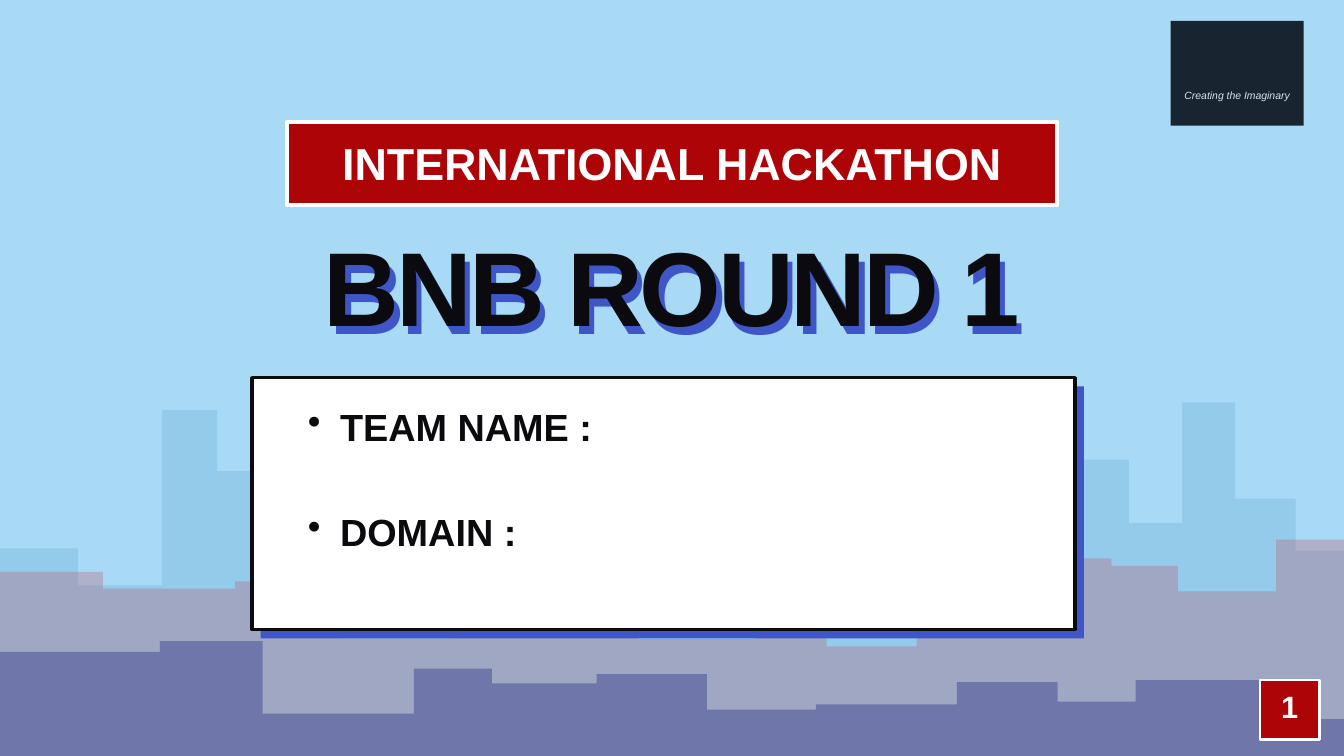
import pptx
import pptx.dml.color
import pptx.enum.shapes
import pptx.enum.text
import pptx.oxml.ns
import pptx.util
from lxml import etree
from pptx.util import Inches

INK, WHITE, RED, BLUE = "0B0B0F", "FFFFFF", "AD0407", "3F56C8"
WIDTH, HEIGHT = 20, 11.25


def paint(fill, color):
    fill.solid()
    fill.fore_color.rgb = pptx.dml.color.RGBColor.from_string(color)


def add_text(s, lines, x, y, w, h, size, color, leading, bold=True,
             italic=False, tracking=0, bullet=False, gap=0):
    tf = s.shapes.add_textbox(Inches(x), Inches(y), Inches(w), Inches(h)).text_frame
    tf.word_wrap = True
    tf.margin_left = tf.margin_right = tf.margin_top = tf.margin_bottom = 0
    for i, line in enumerate(lines):
        p = tf.paragraphs[0] if i == 0 else tf.add_paragraph()
        p.line_spacing = pptx.util.Pt(leading)
        if i:
            p.space_before = pptx.util.Pt(gap)
        if bullet:
            p.level = 1
            pPr = p._p.get_or_add_pPr()
            pPr.set("marL", str(Inches(0.96)))
            pPr.set("indent", str(Inches(-0.48)))
            etree.SubElement(pPr, pptx.oxml.ns.qn("a:buChar"), char="•")
        else:
            p.alignment = pptx.enum.text.PP_ALIGN.CENTER
        r = p.add_run()
        r.text = line
        r.font.name = "Arial"
        r.font.size = pptx.util.Pt(size)
        r.font.bold, r.font.italic = bold, italic
        paint(r.font.fill, color)
        if tracking:
            r._r.get_or_add_rPr().set("spc", str(round(tracking * 100)))


prs = pptx.Presentation()
prs.slide_width, prs.slide_height = Inches(WIDTH), Inches(HEIGHT)
s = prs.slides.add_slide(prs.slide_layouts[6])
paint(s.background.fill, "A8DAF5")

# City skylines, back to front: colour, opacity %, (left edge, roof) of each building
skylines = [
    ("8CC4E6", 70, [
        (0, 8.16), (1.16, 8.71), (2.41, 6.1), (3.23, 7.01), (4.08, 8.66),
        (5.58, 7.82), (6.98, 8.5), (7.75, 6.73), (9.05, 7.68), (9.86, 6.02),
        (10.71, 8.65), (12, 8.3), (13.48, 5.85), (14.5, 5.89), (15.3, 6.84),
        (16.8, 7.78), (17.59, 5.99), (18.38, 7.42), (19.28, 8.2)]),
    ("B8687A", 35, [
        (0, 8.51), (1.53, 8.76), (3.5, 8.65), (5.03, 9.5), (6.75, 8.64),
        (7.93, 8.32), (9.49, 9.51), (11.24, 8.81), (12.3, 9.62), (13.64, 8.57),
        (14.69, 8.31), (16.54, 8.42), (17.53, 8.8), (18.99, 8.03)]),
    ("474F96", 55, [
        (0, 9.7), (2.38, 9.54), (3.91, 10.62), (6.16, 9.95), (7.32, 10.17),
        (8.88, 10.03), (10.52, 10.56), (12.14, 10.48), (14.24, 10.15),
        (15.74, 10.44), (16.9, 10.12), (18.86, 10.7)]),
]
for color, opacity, buildings in skylines:
    points = []
    rights = [x for x, _ in buildings[1:]] + [WIDTH]
    for (left, roof), right in zip(buildings, rights):
        points += [(left, roof), (right, roof)]
    points.append((WIDTH, HEIGHT))
    fb = s.shapes.build_freeform(0, Inches(HEIGHT))
    fb.add_line_segments([(Inches(x), Inches(y)) for x, y in points], close=True)
    sp = fb.convert_to_shape()
    sp.shadow.inherit = False
    paint(sp.fill, color)
    sp.line.fill.background()
    clr = sp._element.spPr.find(".//" + pptx.oxml.ns.qn("a:srgbClr"))
    etree.SubElement(clr, pptx.oxml.ns.qn("a:alpha"), val=str(opacity * 1000))

# Panels: box, fill, line colour, line width
panels = [
    ((17.42, 0.31, 1.98, 1.56), "182430", None, 0),      # emblem plate
    ((4.27, 1.82, 11.46, 1.23), RED, WHITE, 4.5),        # banner
    ((3.88, 5.75, 12.25, 3.75), BLUE, None, 0),          # card shadow
    ((3.75, 5.62, 12.25, 3.75), WHITE, INK, 3.75),       # card
    ((18.75, 10.12, 0.88, 0.88), RED, WHITE, 3),         # page number
]
for box, fill, line, width in panels:
    sp = s.shapes.add_shape(pptx.enum.shapes.MSO_SHAPE.RECTANGLE,
                            *[Inches(v) for v in box])
    sp.shadow.inherit = False
    paint(sp.fill, fill)
    if line:
        paint(sp.line.fill, line)
        sp.line.width = pptx.util.Pt(width)
    else:
        sp.line.fill.background()

# Emblem tagline and banner
add_text(s, ["Creating the Imaginary"], 17.42, 1.3, 1.98, 0.22, size=11.2,
         color="DCE3EA", leading=15.7, bold=False, italic=True)
add_text(s, ["INTERNATIONAL HACKATHON"], 4.27, 2.02, 11.46, 0.81, size=48,
         color=WHITE, leading=57.6)

# Title over its offset shadow
for x, y, color in [(1.58, 3.41, BLUE), (1.5, 3.29, INK)]:
    add_text(s, ["BNB ROUND 1"], x, y, 17, 1.92, size=112.5, color=color,
             leading=135, tracking=-3.6)

# Team details and page number
add_text(s, ["TEAM NAME :", "DOMAIN :"], 4.1, 5.89, 11.25, 3.12, size=40.5,
         color=INK, leading=56.7, bullet=True, gap=56.7)
add_text(s, ["1"], 18.75, 10.23, 0.88, 0.57, size=33, color=WHITE, leading=39.6)

prs.save("out.pptx")
